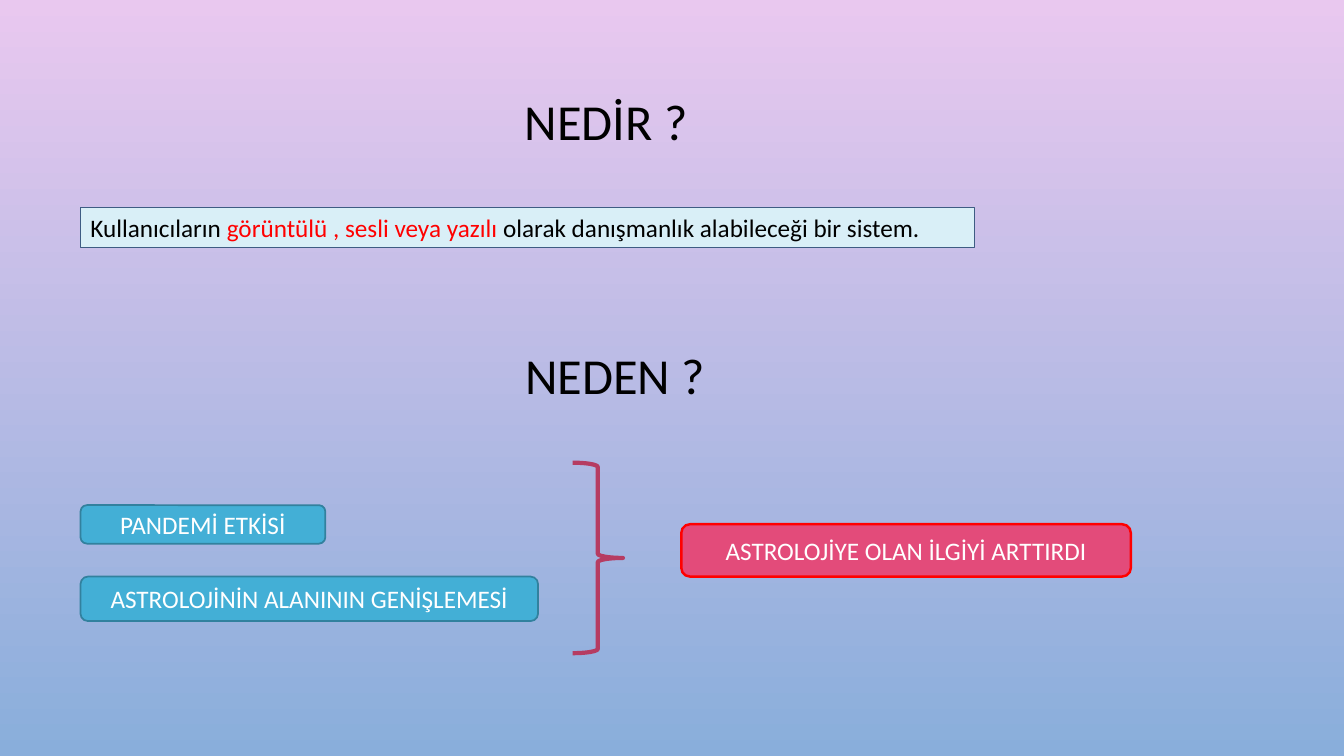
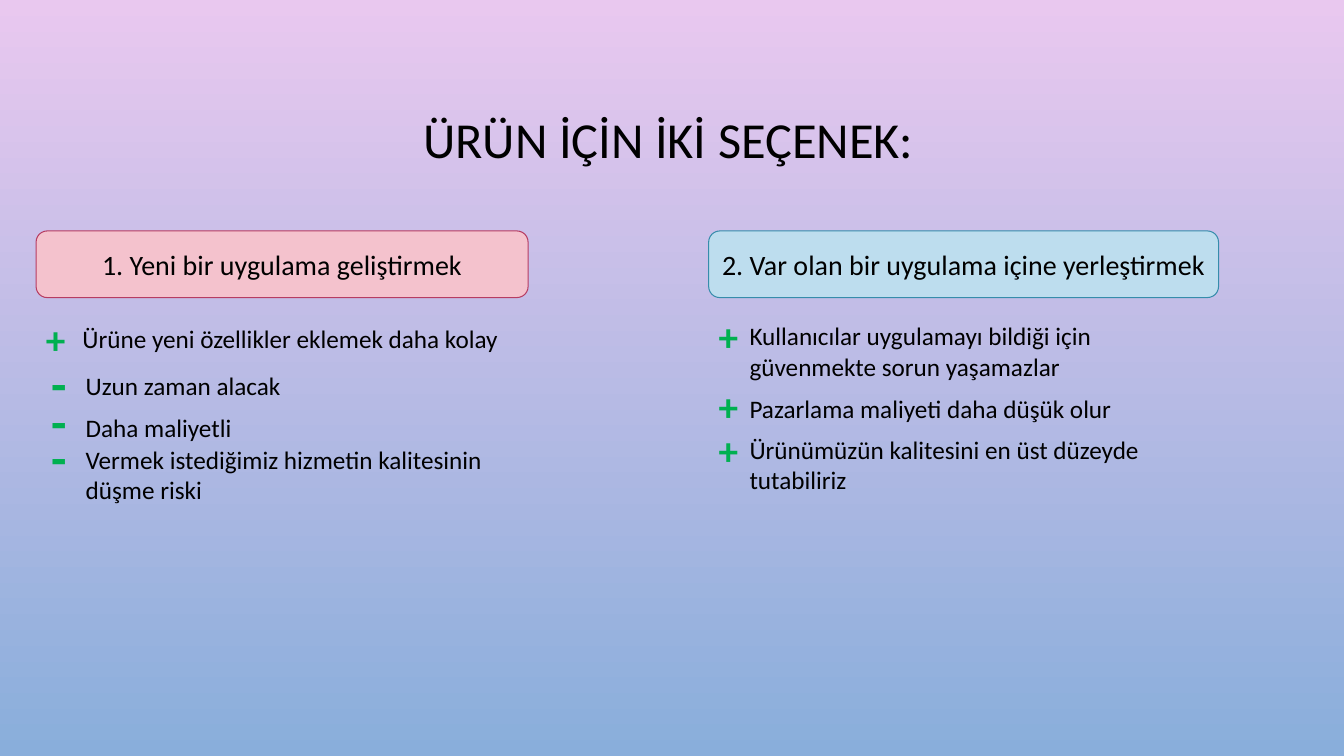
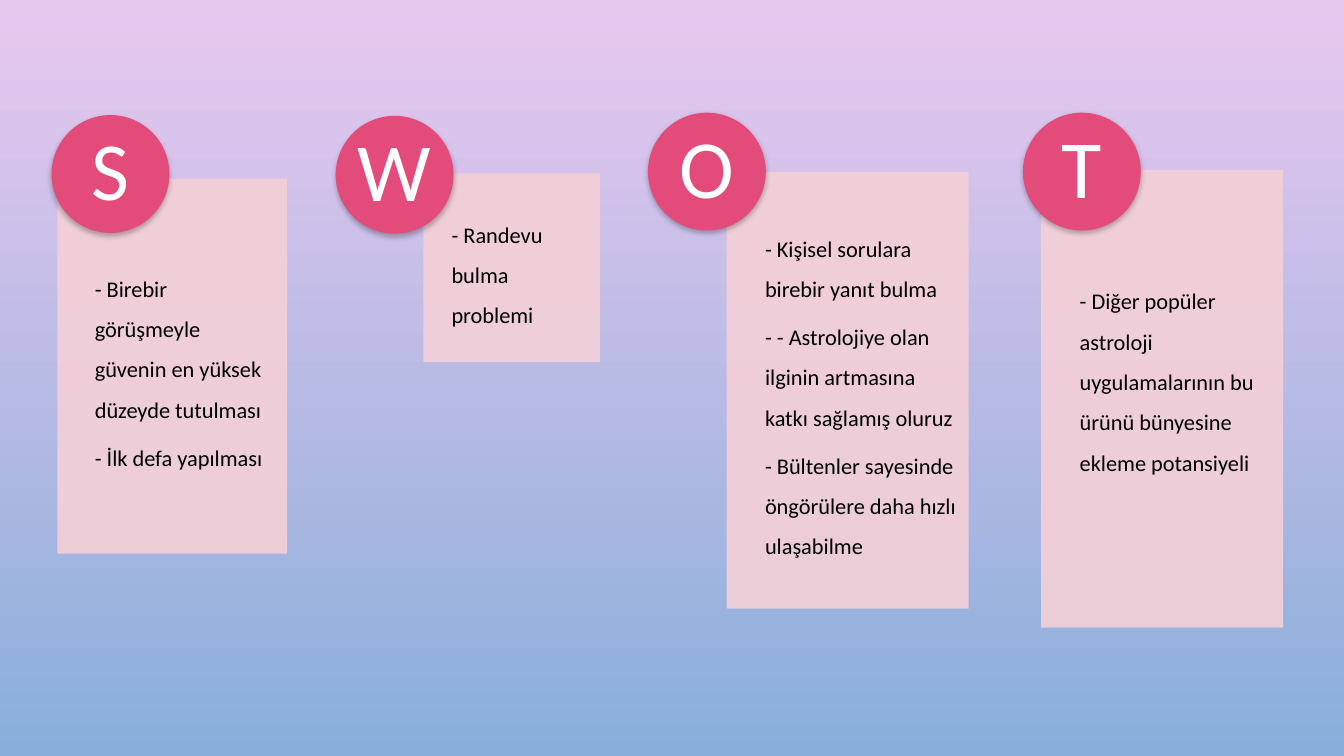
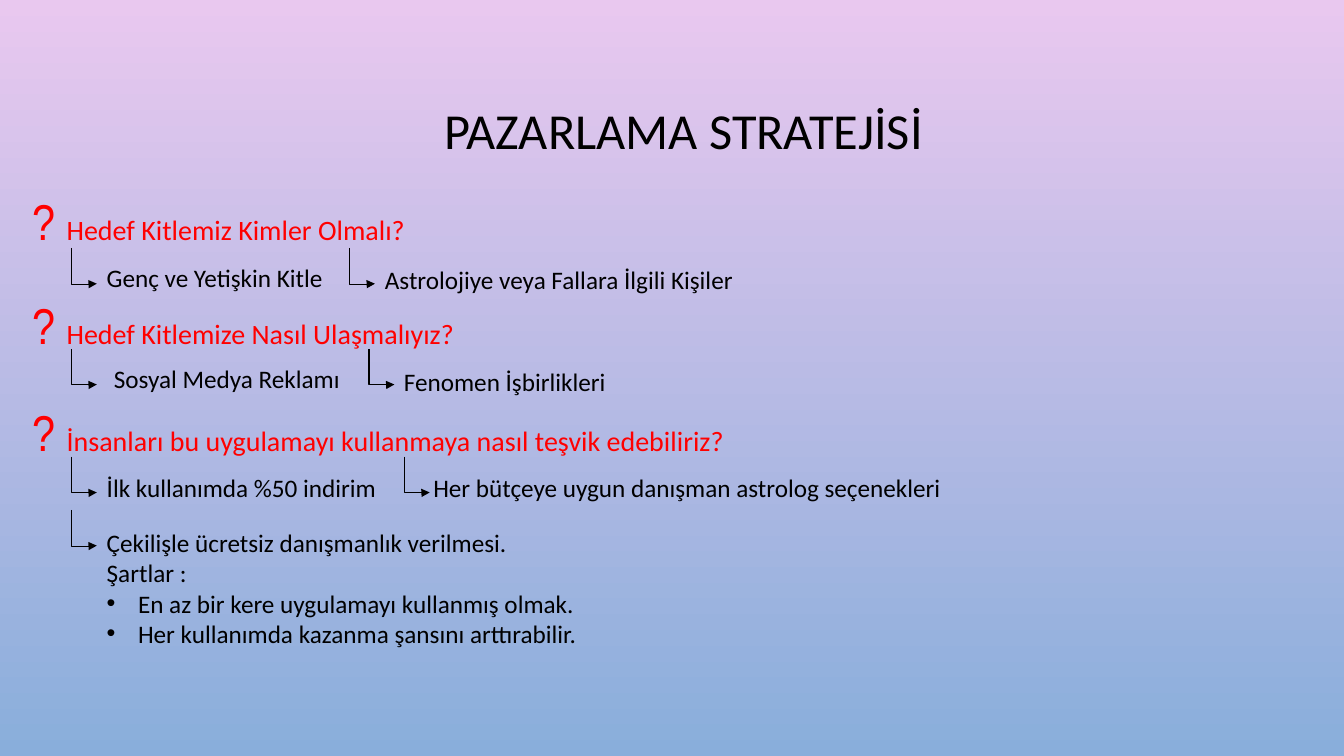
from dataclasses import dataclass
from typing import Sequence

from lxml.etree import SubElement as Sub
from pptx import Presentation
from pptx.dml.color import RGBColor as RGB
from pptx.enum.shapes import MSO_CONNECTOR as Conn, MSO_SHAPE as Kind
from pptx.enum.text import MSO_ANCHOR as Anchor, PP_ALIGN as Align
from pptx.oxml.ns import qn
from pptx.util import Cm, Pt

HUE = {
    "top": "E9C8EF", "base": "89AEDB", "black": "000000", "white": "FFFFFF",
    "red": "FF0000", "green": "00B050", "blue": "43AFD6", "teal": "32819E",
    "pink": "E34B7A", "wine": "B63C62", "ice": "D9EFF7", "navy": "3E5C83",
    "rose": "F4C2CD", "sky": "BDDDEE", "sea": "368CAB", "blush": "F4D0D7",
}
FONT = "Calibri"
PAD = (0.25, 0.13, 0.25, 0.13)
DISC = 2.97
ROW = 1.02


@dataclass
class Box:
    x: float
    y: float
    w: float
    h: float

    def cm(self) -> list:
        return [Cm(v) for v in (self.x, self.y, self.w, self.h)]


@dataclass
class Run:
    text: str
    hue: str = ""
    size: float = 0
    font: str = FONT


@dataclass
class Pill:
    text: str
    box: Box
    fill: str
    edge: str
    width: float
    hue: str = "white"
    size: float = 18


@dataclass
class Point:
    sign: str
    x: float
    y: float
    text: str
    left: float
    top: float
    h: float = ROW


@dataclass
class Panel:
    letter: str
    x: float
    y: float
    box: Box
    inset: float
    lines: Sequence[str]
    foot: float = 0.3


@dataclass
class Query:
    text: str
    y: float
    w: float


@dataclass
class Reply:
    lines: Sequence[str]
    box: Box
    x: float
    y: float


def rgb(name: str) -> RGB:
    return RGB.from_string(HUE[name])


def write(shape, paras: Sequence, *, size: float = 18, hue: str = "black",
          bold: bool = False, align=Align.LEFT, anchor=Anchor.TOP, pad=PAD,
          lead: float = 0, after: float = 0, dots: int = 99) -> None:
    frame = shape.text_frame
    frame.word_wrap = True
    frame.vertical_anchor = anchor
    (frame.margin_left, frame.margin_top,
     frame.margin_right, frame.margin_bottom) = [Cm(v) for v in pad]
    for i, runs in enumerate(paras):
        para = frame.add_paragraph() if i else frame.paragraphs[0]
        para.alignment = align
        if lead:
            para.line_spacing = lead
        if after:
            para.space_after = Pt(after)
        if i >= dots:
            props = para._p.get_or_add_pPr()
            props.set("marL", str(Cm(0.79)))
            props.set("indent", str(-Cm(0.79)))
            Sub(props, qn("a:buFont"), typeface="Arial")
            Sub(props, qn("a:buChar"), char="•")
        for part in [Run(runs)] if isinstance(runs, str) else runs:
            run = para.add_run()
            run.text = part.text
            run.font.name = part.font
            run.font.size = Pt(part.size or size)
            run.font.bold = bold
            run.font.color.rgb = rgb(part.hue or hue)


def label(slide, box: Box, paras: Sequence, **style) -> None:
    write(slide.shapes.add_textbox(*box.cm()), paras, **style)


def title(slide, text: str, box: Box) -> None:
    label(slide, box, [text], size=36, align=Align.CENTER,
          anchor=Anchor.MIDDLE, lead=0.9)


def form(slide, kind, box: Box, fill: str = "", edge: str = "", width: float = 0):
    shape = slide.shapes.add_shape(kind, *box.cm())
    if fill:
        shape.fill.solid()
        shape.fill.fore_color.rgb = rgb(fill)
    else:
        shape.fill.background()
    if edge:
        shape.line.color.rgb = rgb(edge)
        shape.line.width = Pt(width)
    else:
        shape.line.fill.background()
    shape.shadow.inherit = False
    return shape


def pill(slide, item: Pill) -> None:
    shape = form(slide, Kind.ROUNDED_RECTANGLE, item.box, item.fill, item.edge, item.width)
    write(shape, [item.text], size=item.size, hue=item.hue,
          align=Align.CENTER, anchor=Anchor.MIDDLE)


def elbow(slide, x: float, y: float) -> None:
    w, h = 0.9, 0.64
    left, top = x + (h - w) / 2, y + (w - h) / 2
    link = slide.shapes.add_connector(
        Conn.ELBOW, Cm(left), Cm(top), Cm(left + w), Cm(top + h))
    link.line.color.rgb = rgb("black")
    link.line.width = Pt(0.75)
    props = link._element.spPr
    frame = props.find(qn("a:xfrm"))
    frame.set("rot", "16200000")
    frame.set("flipH", "1")
    guides = props.find(qn("a:prstGeom")).find(qn("a:avLst"))
    Sub(guides, qn("a:gd"), name="adj1", fmla="val 101200")
    Sub(props.find(qn("a:ln")), qn("a:tailEnd"), type="triangle")
    Sub(props, qn("a:effectLst"))


def shade(shape) -> None:
    effects = shape._element.spPr.find(qn("a:effectLst"))
    glow = Sub(effects, qn("a:outerShdw"), blurRad=str(Pt(4)), dist=str(Pt(2)),
               dir="5400000", rotWithShape="0")
    Sub(Sub(glow, qn("a:srgbClr"), val=HUE["black"]), qn("a:alpha"), val="28000")


def panel(slide, item: Panel) -> None:
    card = form(slide, Kind.RECTANGLE, item.box, "blush")
    tint = card._element.spPr.find(qn("a:solidFill"))[0]
    Sub(tint, qn("a:alpha"), val="90000")
    write(card, item.lines, size=16, anchor=Anchor.MIDDLE, lead=1.5, after=5.6,
          pad=(item.inset, 0.3, 0.3, item.foot))
    disc = form(slide, Kind.OVAL, Box(item.x, item.y, DISC, DISC), "pink")
    shade(disc)
    write(disc, [item.letter], size=59, hue="white", align=Align.CENTER,
          anchor=Anchor.MIDDLE, pad=(0, 0, 0, 0), lead=0.9, after=20.65)


def what(slide) -> None:
    title(slide, "NEDİR ?", Box(7.37, 2.13, 15.82, 1.98))
    title(slide, "NEDEN ?", Box(7.59, 8.53, 15.82, 1.98))
    for item in (
        Pill("PANDEMİ ETKİSİ", Box(2.03, 12.73, 6.17, 0.97), "blue", "teal", 1.25),
        Pill("ASTROLOJİNİN ALANININ GENİŞLEMESİ", Box(2.03, 14.53, 11.53, 1.12),
             "blue", "teal", 1.25),
        Pill("ASTROLOJİYE OLAN İLGİYİ ARTTIRDI", Box(17.17, 13.21, 11.33, 1.32),
             "pink", "red", 1.75),
    ):
        pill(slide, item)
    form(slide, Kind.RIGHT_BRACE, Box(14.43, 11.66, 1.27, 4.8), edge="wine", width=3)
    note = form(slide, Kind.RECTANGLE, Box(2.03, 5.23, 22.53, ROW), "ice", "navy", 0.75)
    write(note, [[Run("Kullanıcıların "),
                  Run("görüntülü , sesli veya yazılı ", "red"),
                  Run("olarak danışmanlık alabileceği bir sistem.")]])


def choice(slide) -> None:
    title(slide, "ÜRÜN İÇİN İKİ SEÇENEK:", Box(2.46, 1.37, 28.78, 4.45))
    pill(slide, Pill("1. Yeni bir uygulama geliştirmek", Box(0.91, 5.82, 12.4, 1.68),
                     "rose", "wine", 0.75, "black", 20))
    pill(slide, Pill("2. Var olan bir uygulama içine yerleştirmek",
                     Box(17.86, 5.82, 12.85, 1.68), "sky", "sea", 0.75, "black", 20))
    marks = {"+": (28, 1.07, 1.45), "-": (36, 0.81, 1.8)}
    for item in (
        Point("+", 0.91, 7.82, "Ürüne yeni özellikler eklemek daha kolay", 1.83, 8.03),
        Point("-", 1.04, 8.74, "Uzun zaman alacak", 1.91, 9.19),
        Point("-", 1.04, 9.7, "Daha maliyetli", 1.91, 10.26),
        Point("-", 1.04, 10.62, "Vermek istediğimiz hizmetin kalitesinin düşme riski",
              1.91, 11.07, 1.8),
        Point("+", 17.86, 7.75,
              "Kullanıcılar uygulamayı bildiği için güvenmekte sorun yaşamazlar",
              18.64, 7.95, 1.8),
        Point("+", 17.86, 9.5, "Pazarlama maliyeti daha düşük olur", 18.64, 9.78),
        Point("+", 17.86, 10.62, "Ürünümüzün kalitesini en üst düzeyde tutabiliriz",
              18.64, 10.82, 1.8),
    ):
        size, w, h = marks[item.sign]
        label(slide, Box(item.x, item.y, w, h), [item.sign], size=size,
              hue="green", bold=True)
        label(slide, Box(item.left, item.top, 11.25, item.h), [item.text])


def swot(slide) -> None:
    for item in (
        Panel("S", 1.3, 2.9, Box(1.45, 4.5, 5.79, 9.45), 0.94,
              ["- Birebir görüşmeyle güvenin en yüksek düzeyde tutulması",
               "- İlk defa yapılması"]),
        Panel("W", 8.46, 2.92, Box(10.67, 4.37, 4.45, 4.75), 0.71,
              ["- Randevu bulma problemi"]),
        Panel("O", 16.33, 2.84, Box(18.31, 4.34, 6.1, 11), 0.97,
              ["- Kişisel sorulara birebir yanıt bulma",
               "- - Astrolojiye olan ilginin artmasına katkı sağlamış oluruz",
               "- Bültenler sayesinde öngörülere daha hızlı ulaşabilme"]),
        Panel("T", 25.78, 2.84, Box(26.24, 4.29, 6.1, 11.53), 0.97,
              ["- Diğer popüler astroloji uygulamalarının bu ürünü bünyesine "
               "ekleme potansiyeli"], 1.52),
    ):
        panel(slide, item)


def plan(slide) -> None:
    title(slide, "PAZARLAMA STRATEJİSİ", Box(2.84, 1.12, 28.78, 4.45))
    for item in (
        Query("Hedef Kitlemiz Kimler Olmalı?", 4.65, 9.93),
        Query("Hedef Kitlemize Nasıl Ulaşmalıyız?", 7.29, 12.88),
        Query("İnsanları bu uygulamayı kullanmaya nasıl teşvik edebiliriz?", 9.98, 20.17),
    ):
        label(slide, Box(0.56, item.y, item.w, 1.8),
              [[Run("? ", size=36, font="Arial Narrow"), Run(item.text)]],
              size=20, hue="red")
    for item in (
        Reply(["Genç ve Yetişkin Kitle"], Box(2.44, 6.48, 6.35, ROW), 1.8, 6.25),
        Reply(["Astrolojiye veya Fallara İlgili Kişiler"],
              Box(9.45, 6.53, 9.93, ROW), 8.81, 6.25),
        Reply(["Sosyal Medya Reklamı"], Box(2.62, 9.02, 6.35, ROW), 1.8, 8.79),
        Reply(["Fenomen İşbirlikleri"], Box(9.93, 9.09, 6.35, ROW), 9.3, 8.79),
        Reply(["İlk kullanımda %50 indirim"], Box(2.44, 11.76, 7.49, ROW), 1.8, 11.51),
        Reply(["Her bütçeye uygun danışman astrolog seçenekleri"],
              Box(10.67, 11.76, 15.24, ROW), 10.19, 11.51),
        Reply(["Çekilişle ücretsiz danışmanlık verilmesi.", "Şartlar :",
               "En az bir kere uygulamayı kullanmış olmak.",
               "Her kullanımda kazanma şansını arttırabilir."],
              Box(2.44, 13.16, 12.55, 3.33), 1.8, 12.85),
    ):
        elbow(slide, item.x, item.y)
        label(slide, item.box, item.lines, dots=2)


def main() -> None:
    deck = Presentation()
    deck.slide_width, deck.slide_height = Cm(33.87), Cm(19.05)
    fill = deck.slide_master.background.fill
    fill.gradient()
    fill.gradient_angle = 270
    for stop, name in zip(fill.gradient_stops, ("top", "base")):
        stop.color.rgb = rgb(name)
    for draw in (what, choice, swot, plan):
        draw(deck.slides.add_slide(deck.slide_layouts[6]))
    deck.save("out.pptx")


if __name__ == "__main__":
    main()
